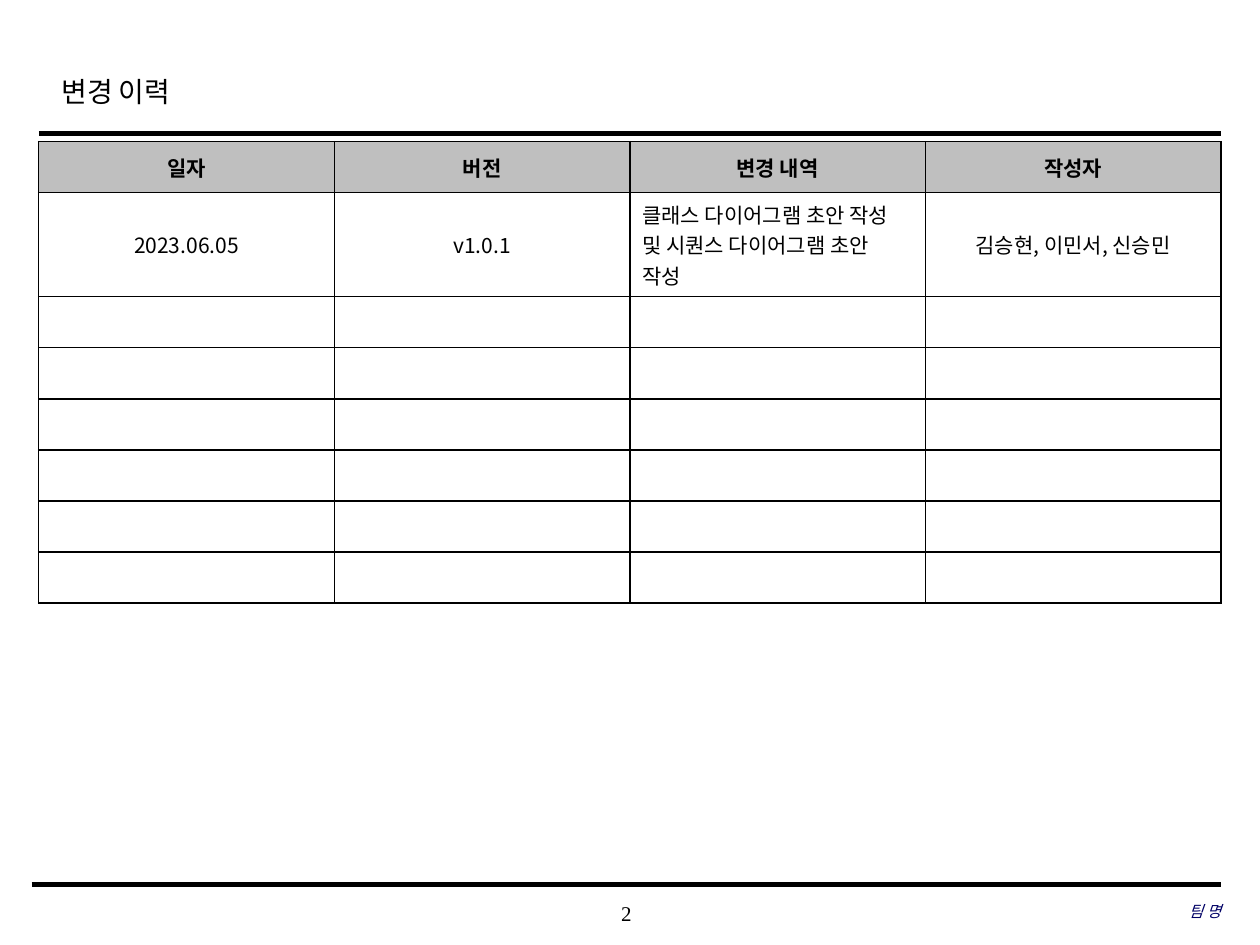
from lxml.etree import SubElement
from pptx import Presentation
from pptx.dml.color import RGBColor
from pptx.enum.shapes import MSO_CONNECTOR
from pptx.enum.text import MSO_ANCHOR, PP_ALIGN
from pptx.oxml.ns import qn
from pptx.util import Pt

HUES = {"ink": "000000", "navy": "000066", "head": "BFBFBF", "body": "FFFFFF"}
SANS, SERIF = "Noto Sans CJK KR", "Times New Roman"
LEFT, MID, RIGHT = PP_ALIGN.LEFT, PP_ALIGN.CENTER, PP_ALIGN.RIGHT


def write(par, text, align, face, hue, style):
    par.alignment = align
    run = par.add_run()
    run.text = text
    for key, val in style.items():
        setattr(run.font, key, val)
    run.font.name = face
    run.font.color.rgb = RGBColor.from_string(HUES[hue])
    SubElement(run.font._element, qn("a:ea"), typeface=SANS)


def edge(cell):
    props = cell._tc.get_or_add_tcPr()
    for spot, side in enumerate(("lnL", "lnR", "lnT", "lnB")):
        line = SubElement(props, qn("a:" + side), w=str(Pt(1)))
        fill = SubElement(line, qn("a:solidFill"))
        SubElement(fill, qn("a:srgbClr"), val=HUES["ink"])
        props.insert(spot, line)


deck = Presentation()
deck.slide_width, deck.slide_height = Pt(720), Pt(540)
slide = deck.slides.add_slide(deck.slide_layouts[6])

# Rules above and below the content
for x, y, width in ((22.3, 76.3, 2.5), (18, 505.4, 3)):
    rule = slide.shapes.add_connector(
        MSO_CONNECTOR.STRAIGHT, Pt(x), Pt(y), Pt(697.7), Pt(y))
    rule.line.color.rgb = RGBColor.from_string(HUES["ink"])
    rule.line.width = Pt(width)
    SubElement(rule._element.spPr, qn("a:effectLst"))

# Title, page number and team name
flush = {"margin_left": 0, "margin_right": 0, "margin_top": 0,
         "margin_bottom": 0, "vertical_anchor": MSO_ANCHOR.MIDDLE}
texts = (
    ("변경 이력", (28, 35.3, 543.6, 36), LEFT, "ink",
     {"size": Pt(16)}, {}, 1.2),
    ("2", (283, 509.8, 149.8, 23.8), MID, "ink",
     {"size": Pt(12)}, flush, 1),
    ("팀 명", (477.4, 509, 220.3, 23.8), RIGHT, "navy",
     {"size": Pt(9), "italic": True}, flush, 1),
)
for text, box, align, hue, style, frame, gap in texts:
    body = slide.shapes.add_textbox(*map(Pt, box)).text_frame
    body.word_wrap = True
    for key, val in frame.items():
        setattr(body, key, val)
    body.paragraphs[0].line_spacing = gap
    write(body.paragraphs[0], text, align, SERIF, hue, style)

# Change history table; the rows without text stay blank
rows = [
    ("일자", "버전", "변경 내역", "작성자"),
    ("2023.06.05", "v1.0.1",
     "클래스 다이어그램 초안 작성 및 시퀀스 다이어그램 초안 작성",
     "김승현, 이민서, 신승민"),
] + [("",) * 4] * 6
wide = 168.9
highs = [29.2, 59.4] + [29.2] * 6
grid = slide.shapes.add_table(
    len(rows), 4, Pt(22.1), Pt(80.9), Pt(4 * wide), Pt(sum(highs))).table
for col in grid.columns:
    col.width = Pt(wide)
for r, row in enumerate(rows):
    grid.rows[r].height = Pt(highs[r])
    for c, text in enumerate(row):
        cell = grid.cell(r, c)
        cell.vertical_anchor = MSO_ANCHOR.MIDDLE
        cell.fill.solid()
        cell.fill.fore_color.rgb = RGBColor.from_string(
            HUES["body" if r else "head"])
        edge(cell)
        par = cell.text_frame.paragraphs[0]
        if text:
            note = r == 1 and c == 2
            if note:
                cell.margin_right = Pt(12)
            write(par, text, LEFT if note else MID, SANS, "ink",
                  {"size": Pt(12), "bold": r == 0})
        else:
            SubElement(par._p, qn("a:endParaRPr"), sz="1200")

deck.save("out.pptx")
